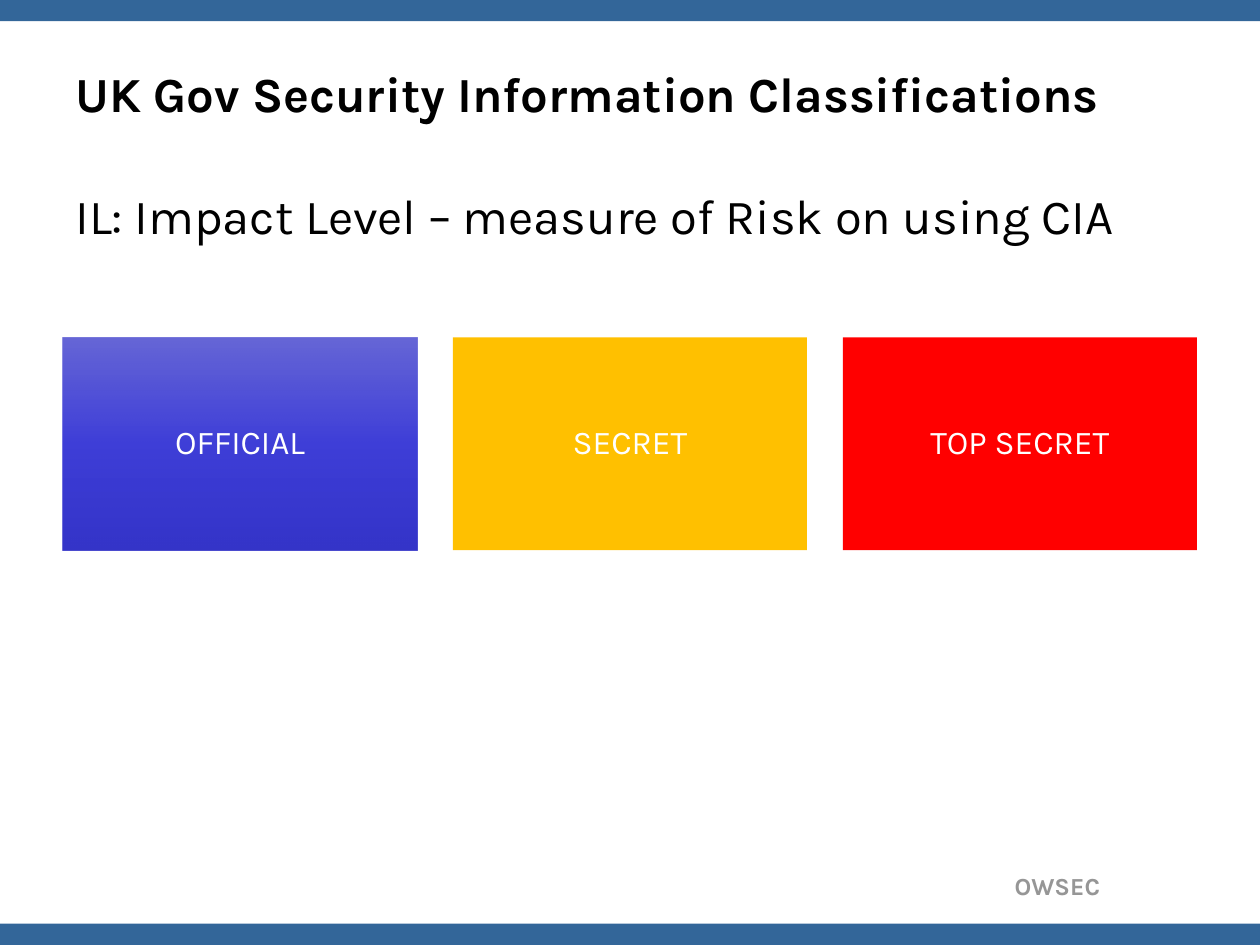
from lxml import etree
from pptx import Presentation
from pptx.dml.color import RGBColor
from pptx.enum.shapes import MSO_SHAPE
from pptx.enum.text import MSO_ANCHOR, MSO_AUTO_SIZE, PP_ALIGN
from pptx.oxml.ns import qn
from pptx.util import Cm, Pt

RECTANGLE = MSO_SHAPE.RECTANGLE
TOP, MIDDLE = MSO_ANCHOR.TOP, MSO_ANCHOR.MIDDLE
LEFT, CENTER, RIGHT = PP_ALIGN.LEFT, PP_ALIGN.CENTER, PP_ALIGN.RIGHT
FIXED_SIZE = MSO_AUTO_SIZE.NONE

PAGE_WIDTH, PAGE_HEIGHT = 25.4, 19.05
BAR_HEIGHT = 0.43
MARGIN, BOX_WIDTH, BOX_TOP, BOX_HEIGHT = 1.27, 7.14, 6.8, 4.29
LEVELS = [
    ("OFFICIAL", ["5757D3", "2B2BD4", "2020C3"]),
    ("SECRET", ["FFC000"]),
    ("TOP SECRET", ["FF0000"]),
]


def color(value):
    return RGBColor.from_string(value)


class SlideBuilder:
    """Hold the text style and the current slide, and add elements to it."""

    font = "Karla"

    def __init__(self, page):
        self.page = page

    def place(self, box, left, top, width, height):
        box.left, box.top = Cm(left), Cm(top)
        box.width, box.height = Cm(width), Cm(height)

    def set_text(self, box, text, size, ink, bold=False, anchor=TOP, inset=(0.25, 0.13), **layout):
        frame = box.text_frame
        across, down = map(Cm, inset)
        frame_format = {
            "text": text, "word_wrap": True, "auto_size": FIXED_SIZE,
            "vertical_anchor": anchor, "margin_left": across,
            "margin_right": across, "margin_top": down, "margin_bottom": down,
        }
        for name, value in frame_format.items():
            setattr(frame, name, value)
        para = frame.paragraphs[0]
        for name, value in layout.items():
            setattr(para, name, value)
        span = para.runs[0]
        for name, value in {"name": self.font, "size": Pt(size), "bold": bold}.items():
            setattr(span.font, name, value)
        span.font.color.rgb = color(ink)
        return para

    def rectangle(self, bounds, fill):
        box = self.page.shapes.add_shape(RECTANGLE, *map(Cm, bounds))
        box.shadow.inherit = False
        box.fill.solid()
        box.fill.fore_color.rgb = color(fill)
        box.line.fill.background()
        return box

    def shade(self, box, shades, opacity):
        box.fill.gradient()
        box.fill.gradient_angle = 270
        stops = box._element.spPr.find(".//" + qn("a:gsLst"))
        for stop in list(stops):
            stops.remove(stop)
        for index, value in enumerate(shades):
            position = index * 100000 // (len(shades) - 1)
            stop = etree.SubElement(stops, qn("a:gs"), pos=str(position))
            tone = etree.SubElement(stop, qn("a:srgbClr"), val=value)
            etree.SubElement(tone, qn("a:alpha"), val=str(opacity * 1000))

    def level(self, bounds, text, shades):
        box = self.rectangle(bounds, shades[0])
        if len(shades) > 1:
            self.shade(box, shades, 90)
        self.set_text(box, text, 19, "FFFFFF", anchor=MIDDLE, inset=(0.2, 0.2),
                      alignment=CENTER, line_spacing=0.9)

    def title(self, text):
        box = self.page.shapes.title
        self.place(box, MARGIN, 0.56, 22.86, 2.62)
        self.set_text(box, text, 28, "000000", bold=True, anchor=MIDDLE, alignment=LEFT)

    def body(self, text):
        box = self.page.placeholders[1]
        self.place(box, MARGIN, 3.61, 22.86, 13.41)
        para = self.set_text(box, text, 28, "000000", space_before=Pt(7))
        properties = para._p.get_or_add_pPr()
        for name, indent in {"marL": 0.95, "indent": -0.95}.items():
            properties.set(name, str(Cm(indent)))
        etree.SubElement(properties, qn("a:buNone"))

    def footer(self, text):
        box = self.page.shapes.add_textbox(Cm(15.8), Cm(17.42), Cm(6.63), Cm(0.86))
        self.set_text(box, text, 14, "969696", bold=True, alignment=RIGHT)


def main():
    deck = Presentation()
    deck.slide_width, deck.slide_height = Cm(PAGE_WIDTH), Cm(PAGE_HEIGHT)
    builder = SlideBuilder(deck.slides.add_slide(deck.slide_layouts[1]))
    for top in (0, PAGE_HEIGHT - BAR_HEIGHT):
        builder.rectangle((0, top, PAGE_WIDTH, BAR_HEIGHT), "336699")
    builder.footer("OWSEC")
    builder.title("UK Gov Security Information Classifications")
    builder.body("IL: Impact Level – measure of Risk on using CIA")
    pitch = (PAGE_WIDTH - 2 * MARGIN - BOX_WIDTH) / (len(LEVELS) - 1)
    for index, (text, shades) in enumerate(LEVELS):
        bounds = (MARGIN + index * pitch, BOX_TOP, BOX_WIDTH, BOX_HEIGHT)
        builder.level(bounds, text, shades)
    deck.save("out.pptx")


if __name__ == "__main__":
    main()
